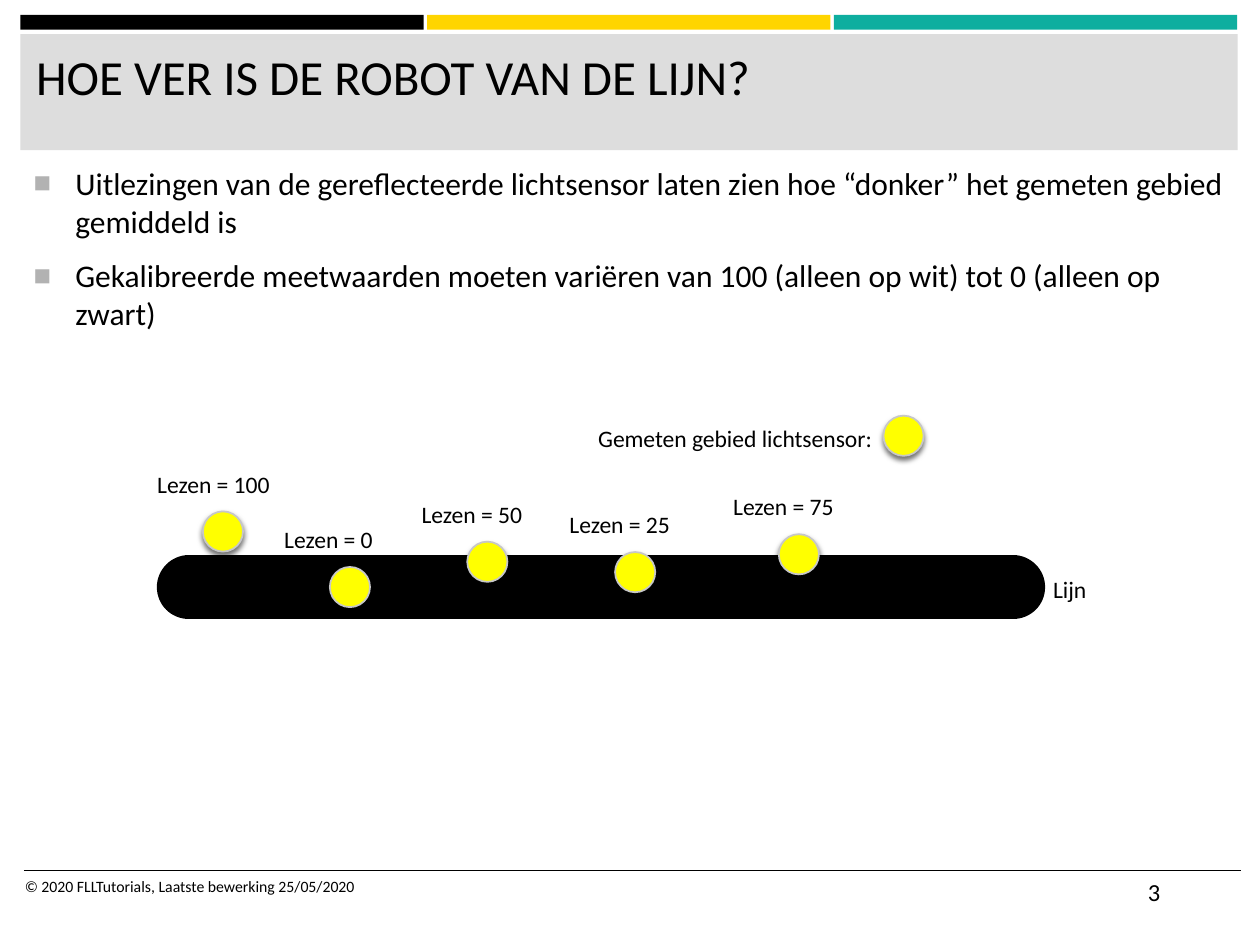
from dataclasses import dataclass

from lxml import etree
from pptx import Presentation
from pptx.dml.color import RGBColor
from pptx.enum.shapes import MSO_CONNECTOR, MSO_SHAPE
from pptx.enum.text import MSO_ANCHOR, MSO_AUTO_SIZE
from pptx.oxml import parse_xml
from pptx.oxml.ns import nsdecls, qn
from pptx.shapes.autoshape import Shape
from pptx.shapes.connector import Connector
from pptx.slide import Slide
from pptx.text.text import _Paragraph
from pptx.util import Cm, Pt

RECTANGLE = MSO_SHAPE.RECTANGLE
OVAL = MSO_SHAPE.OVAL
STRAIGHT = MSO_CONNECTOR.STRAIGHT
TOP = MSO_ANCHOR.TOP
FIT_SHAPE = MSO_AUTO_SIZE.SHAPE_TO_FIT_TEXT
NO_FIT = MSO_AUTO_SIZE.NONE


@dataclass(frozen=True)
class Theme:
    font: str = "Calibri"
    black: str = "000000"
    yellow: str = "FFD500"
    teal: str = "0EAE9F"
    header: str = "DDDDDD"
    bullet: str = "B2B2B2"
    sensor: str = "FFFF00"
    sensor_edge: str = "C7C7C7"
    title_size: float = 28
    body_size: float = 18
    label_size: float = 13.5
    number_size: float = 14
    footer_size: float = 9


@dataclass(frozen=True)
class Box:
    """A rectangle in centimetres."""
    left: float
    top: float
    width: float
    height: float


@dataclass(frozen=True)
class Reading:
    """A sensor value and the top left corner of its spot, in centimetres."""
    value: int
    left: float
    top: float


THEME = Theme()
SPOT_SIZE = 0.81
LABEL_HEIGHT = 0.84
BAR_WIDTH, BAR_PITCH = 8.13, 8.2

BULLETS = (
    "Uitlezingen van de gereflecteerde lichtsensor laten zien hoe “donker” het gemeten gebied gemiddeld is",
    "Gekalibreerde meetwaarden moeten variëren van 100 (alleen op wit) tot 0 (alleen op zwart)",
)
READINGS = (
    Reading(100, 4.09, 10.31),
    Reading(0, 6.65, 11.43),
    Reading(50, 9.42, 10.92),
    Reading(25, 12.4, 11.13),
    Reading(75, 15.7, 10.77),
)


def add_filled_shape(slide: Slide, kind: MSO_SHAPE, box: Box, color: str) -> Shape:
    shape = slide.shapes.add_shape(
        kind, Cm(box.left), Cm(box.top), Cm(box.width), Cm(box.height))
    shape.shadow.inherit = False
    shape.fill.solid()
    shape.fill.fore_color.rgb = RGBColor.from_string(color)
    shape.line.fill.background()
    return shape


def add_level_line(slide: Slide, start: float, end: float, top: float, points: float) -> Connector:
    """Draw a horizontal black line without a shadow."""
    line = slide.shapes.add_connector(STRAIGHT, Cm(start), Cm(top), Cm(end), Cm(top))
    line.line.color.rgb = RGBColor.from_string(THEME.black)
    line.line.width = Pt(points)
    etree.SubElement(line._element.spPr, qn("a:effectLst"))
    return line


def format_runs(paragraph: _Paragraph, size: float) -> None:
    for run in paragraph.runs:
        run.font.name = THEME.font
        run.font.size = Pt(size)
        run.font.color.rgb = RGBColor.from_string(THEME.black)


def add_text(slide: Slide, box: Box, text: str, size: float, wrap: bool = True) -> Shape:
    """Add a text box with one paragraph per line of text."""
    shape = slide.shapes.add_textbox(
        Cm(box.left), Cm(box.top), Cm(box.width), Cm(box.height))
    frame = shape.text_frame
    frame.text = text
    frame.word_wrap = wrap
    frame.auto_size = NO_FIT if wrap else FIT_SHAPE
    frame.vertical_anchor = TOP
    for paragraph in frame.paragraphs:
        format_runs(paragraph, size)
    return shape


def add_label(slide: Slide, left: float, top: float, width: float, text: str) -> None:
    add_text(slide, Box(left, top, width, LABEL_HEIGHT), text, THEME.label_size, wrap=False)


def add_bullet(paragraph: _Paragraph) -> None:
    properties = paragraph._p.get_or_add_pPr()
    properties.set("marL", str(Cm(0.84)))
    properties.set("indent", str(-Cm(0.84)))
    color = etree.SubElement(properties, qn("a:buClr"))
    etree.SubElement(color, qn("a:srgbClr"), val=THEME.bullet)
    etree.SubElement(properties, qn("a:buSzPct"), val="92000")
    etree.SubElement(properties, qn("a:buFont"), typeface="Arial")
    etree.SubElement(properties, qn("a:buChar"), char="■")


def add_body(slide: Slide) -> None:
    body = add_text(slide, Box(0.43, 3.18, 24.54, 14.12), "\n".join(BULLETS), THEME.body_size)
    for index, paragraph in enumerate(body.text_frame.paragraphs):
        add_bullet(paragraph)
        paragraph.space_before = Pt(3.6 if index else 0)
        paragraph.space_after = Pt(6)


def add_sensor_spot(slide: Slide, left: float, top: float) -> None:
    spot = add_filled_shape(slide, OVAL, Box(left, top, SPOT_SIZE, SPOT_SIZE), THEME.sensor)
    spot.line.color.rgb = RGBColor.from_string(THEME.sensor_edge)
    spot.line.width = Pt(1)
    effects = spot._element.spPr.find(qn("a:effectLst"))
    effects.append(parse_xml(
        f'<a:outerShdw {nsdecls("a")} blurRad="{Pt(3)}" dist="{Pt(2)}" dir="5400000" '
        f'rotWithShape="0"><a:srgbClr val="{THEME.black}"><a:alpha val="55000"/>'
        '</a:srgbClr></a:outerShdw>'))


def add_reading(slide: Slide, reading: Reading) -> None:
    add_sensor_spot(slide, reading.left, reading.top)
    width = 2.54 + 0.25 * len(str(reading.value))
    add_label(slide, reading.left - 1.17, reading.top - 0.97, width, f"Lezen = {reading.value}")


def add_frame(slide: Slide) -> None:
    """Add the coloured bars, header, title and footer."""
    for index, color in enumerate((THEME.black, THEME.yellow, THEME.teal)):
        add_filled_shape(slide, RECTANGLE, Box(0.41 + index * BAR_PITCH, 0.3, BAR_WIDTH, 0.3), color)
    add_filled_shape(slide, RECTANGLE, Box(0.41, 0.69, 24.54, 2.34), THEME.header)
    add_level_line(slide, 0.48, 25.02, 17.55, 1)
    add_text(slide, Box(0.48, 0.81, 24.31, 2.08), "HOE VER IS DE ROBOT VAN DE LIJN?", THEME.title_size)
    add_text(slide, Box(0.25, 17.55, 13.54, 1.02),
             "© 2020 FLLTutorials, Laatste bewerking 25/05/2020", THEME.footer_size)
    add_text(slide, Box(22.89, 17.55, 2.13, 1.02), "3", THEME.number_size)


def add_diagram(slide: Slide) -> None:
    track = add_level_line(slide, 3.81, 20.42, 11.84, 36.75)
    track._element.spPr.find(qn("a:ln")).set("cap", "rnd")
    add_sensor_spot(slide, 17.81, 8.38)
    add_label(slide, 11.81, 8.43, 6.12, "Gemeten gebied lichtsensor:")
    add_label(slide, 20.98, 11.46, 1.32, "Lijn")
    for reading in READINGS:
        add_reading(slide, reading)


def main() -> None:
    presentation = Presentation()
    presentation.slide_width = Cm(25.4)
    presentation.slide_height = Cm(19.05)
    slide = presentation.slides.add_slide(presentation.slide_layouts[6])
    add_frame(slide)
    add_body(slide)
    add_diagram(slide)
    presentation.save("out.pptx")


if __name__ == "__main__":
    main()
